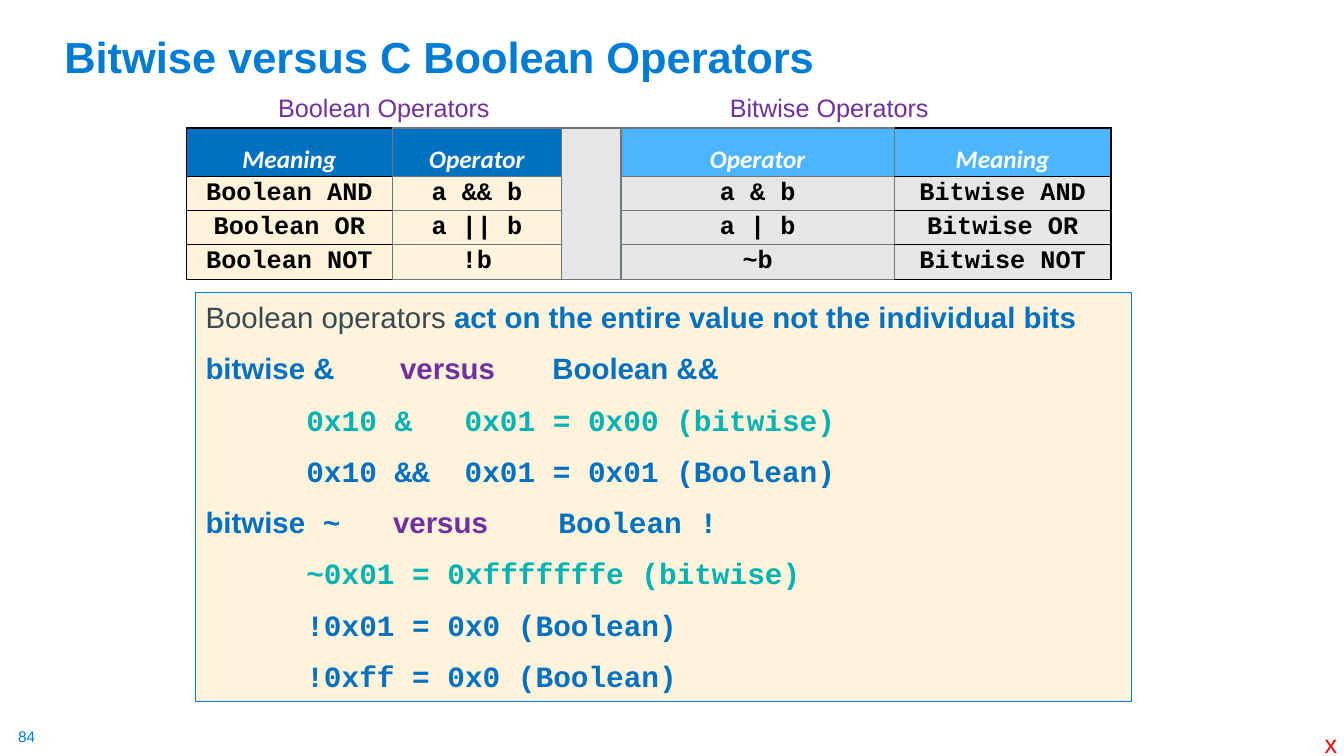
from lxml import etree
from pptx import Presentation
from pptx.dml.color import RGBColor
from pptx.enum import shapes, text
from pptx.oxml import ns
from pptx.util import Inches, Pt

BLUE, NAVY, PURPLE, TEAL = "007CD5", "0070C0", "7030A0", "00B2B1"
CREAM, GREY, SKY, RULE = "FFF4DB", "E7E6E6", "4DB5FF", "6B767D"
SLATE, BLACK, WHITE, RED = "384851", "000000", "FFFFFF", "FF0000"
SANS, CODE = "Arial", "Courier New"


def color(value):
    return RGBColor.from_string(value)


def style(font, size, name, value, bold=False):
    font.size = Pt(size)
    font.name = name
    font.color.rgb = color(value)
    font.bold = bold


deck = Presentation()
deck.slide_width, deck.slide_height = Inches(13.33), Inches(7.5)
page = deck.slides.add_slide(deck.slide_layouts[6])

labels = [
    ("84", 0.18, 7.21, 0.19, 0.19, 11, BLUE, 0),
    ("Bitwise versus C Boolean Operators", 0.54, 0.09, 11.5, 0.78, 31, BLUE, 0.1),
    ("x", 13.04, 7.18, 0.33, 0.4, 18, RED, 0.1),
    ("Boolean Operators", 2.66, 0.87, 2.32, 0.4, 18, PURPLE, 0.1),
    ("Bitwise Operators", 7.14, 0.87, 2.19, 0.4, 18, PURPLE, 0.1),
]
for words, left, top, width, height, size, ink, inset in labels:
    box = page.shapes.add_textbox(Inches(left), Inches(top), Inches(width), Inches(height))
    frame = box.text_frame
    is_title = size == 31
    frame.word_wrap = is_title
    frame.margin_left = frame.margin_right = Inches(inset)
    frame.margin_top = frame.margin_bottom = Inches(inset / 2)
    para = frame.paragraphs[0]
    para.text = words
    style(para.font, size, SANS, ink, is_title)
    if is_title:
        frame.vertical_anchor = text.MSO_ANCHOR.BOTTOM
        para.line_spacing = 0.9

rows = [
    ("Meaning", "Operator", "", "Operator", "Meaning"),
    ("Boolean AND", "a && b", "", "a & b", "Bitwise AND"),
    ("Boolean OR", "a || b", "", "a | b", "Bitwise OR"),
    ("Boolean NOT", "!b", "", "~b", "Bitwise NOT"),
]
header_fills = (NAVY, NAVY, GREY, SKY, SKY)
body_fills = (CREAM, CREAM, GREY, GREY, GREY)
table = page.shapes.add_table(4, 5, Inches(1.85), Inches(1.27), Inches(9.17), Inches(1.44)).table
table.first_row = table.horz_banding = False
for column, width in zip(table.columns, (2.04, 1.68, 0.59, 2.71, 2.15)):
    column.width = Inches(width)
for row, height in zip(table.rows, (0.48, 0.32, 0.32, 0.32)):
    row.height = Inches(height)
table.cell(0, 2).merge(table.cell(3, 2))

for r, values in enumerate(rows):
    for c, words in enumerate(values):
        cell = table.cell(r, c)
        is_header = r == 0
        cell.margin_left = cell.margin_right = Inches(0.08)
        cell.margin_top = cell.margin_bottom = Inches(0.01 if is_header else 0.02)
        cell.vertical_anchor = text.MSO_ANCHOR.MIDDLE
        level = BLACK if c in (0, 4) else RULE
        edges = {"L": BLACK if c == 0 else RULE, "R": BLACK if c == 4 else RULE, "T": level, "B": level}
        properties = cell._tc.get_or_add_tcPr()
        for side, ink in edges.items():
            edge = etree.SubElement(properties, ns.qn("a:ln" + side), w=str(Pt(1)))
            fill = etree.SubElement(edge, ns.qn("a:solidFill"))
            etree.SubElement(fill, ns.qn("a:srgbClr"), val=ink)
        cell.fill.solid()
        cell.fill.fore_color.rgb = color((header_fills if is_header else body_fills)[c])
        if words:
            para = cell.text_frame.paragraphs[0]
            para.text = words
            para.alignment = text.PP_ALIGN.CENTER
            if is_header:
                para.line_spacing = 1.5
                style(para.font, 18, "Calibri", WHITE, True)
                para.font.italic = True
            else:
                style(para.font, 18, CODE, BLACK, True)

lines = [
    ((), [("Boolean operators ", SANS, SLATE),
          ("act on the entire value not the individual bits", SANS, NAVY)]),
    ((1.93, 3.44), [("bitwise &\t", SANS, NAVY), ("versus\t", SANS, PURPLE), ("Boolean &&", SANS, NAVY)]),
    ((1, 2.57), [("\t0x10 &\t0x01 = 0x00 (bitwise)", CODE, TEAL)]),
    ((1, 2.57), [("\t0x10 &&\t0x01 = 0x01 (Boolean)", CODE, NAVY)]),
    ((1.86, 3.5), [("bitwise", SANS, NAVY), (" ~\t", CODE, NAVY),
                   ("versus\t", SANS, PURPLE), ("Boolean !", CODE, NAVY)]),
    ((1,), [("\t~0x01 = 0xfffffffe (bitwise)", CODE, TEAL)]),
    ((1,), [("\t!0x01 = 0x0 (Boolean)", CODE, NAVY)]),
    ((1,), [("\t!0xff = 0x0 (Boolean)", CODE, NAVY)]),
]
panel = page.shapes.add_shape(
    shapes.MSO_SHAPE.RECTANGLE, Inches(1.94), Inches(2.9), Inches(9.28), Inches(4.06))
panel.shadow.inherit = False
panel.fill.solid()
panel.fill.fore_color.rgb = color(CREAM)
panel.line.color.rgb = color(BLUE)
panel.line.width = Pt(0.75)
frame = panel.text_frame
frame.word_wrap = True
frame.vertical_anchor = text.MSO_ANCHOR.TOP
frame.margin_top = Inches(0.07)
for index, (stops, spans) in enumerate(lines):
    para = frame.add_paragraph() if index else frame.paragraphs[0]
    para.alignment = text.PP_ALIGN.LEFT
    para.space_before = Pt(11.4 if index else 0)
    if stops:
        tabs = etree.SubElement(para._p.get_or_add_pPr(), ns.qn("a:tabLst"))
        for stop in stops:
            etree.SubElement(tabs, ns.qn("a:tab"), pos=str(Inches(stop)), algn="l")
    if len(spans) == 1:
        words, name, ink = spans[0]
        para.add_run().text = words
        style(para.font, 21, name, ink, True)
    else:
        for words, name, ink in spans:
            span = para.add_run()
            span.text = words
            style(span.font, 21, name, ink, ink != SLATE)

deck.save("out.pptx")
